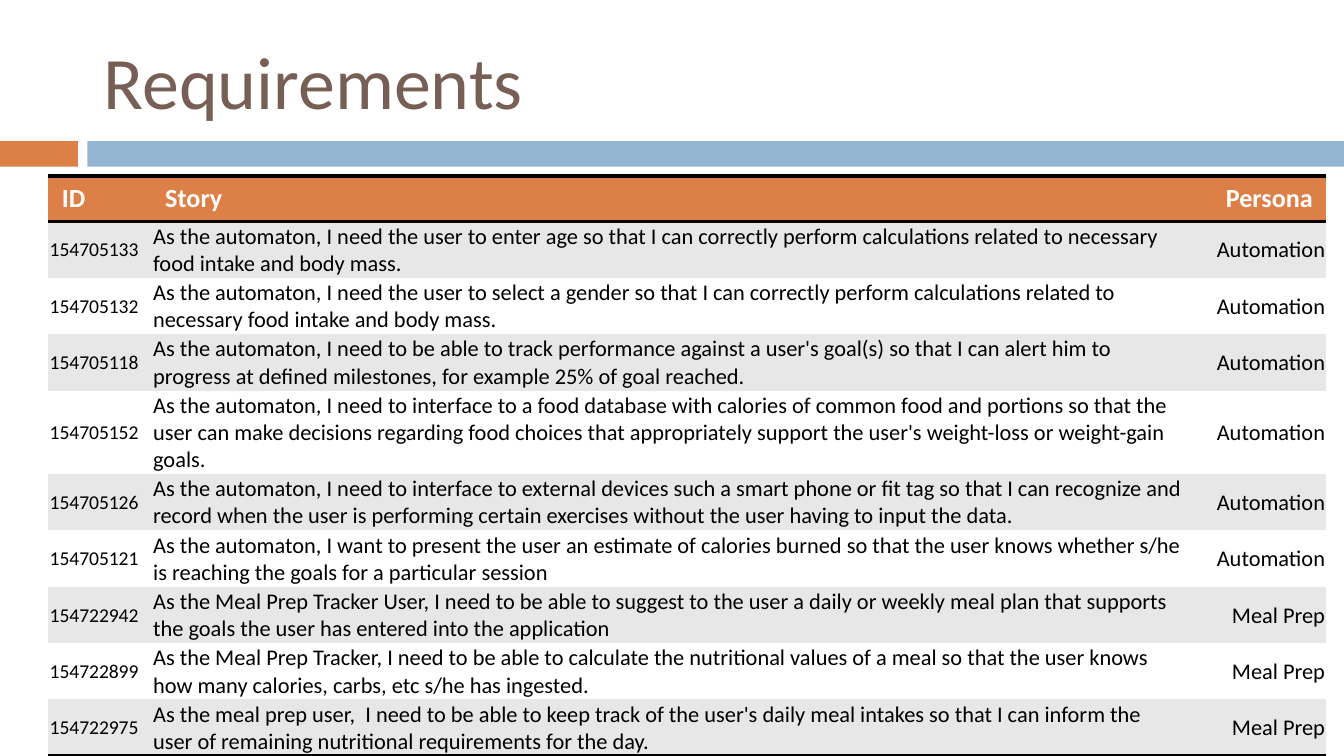
from lxml.etree import SubElement
from pptx import Presentation
from pptx.dml.color import RGBColor
from pptx.enum.shapes import MSO_SHAPE as Shape
from pptx.enum.text import MSO_ANCHOR as Anchor, PP_ALIGN as Align
from pptx.oxml.ns import qn
from pptx.util import Inches, Pt

FONT = "Calibri"
ORANGE, BLUE, BROWN = "DD8047", "94B6D2", "775F55"
BLACK, WHITE, GREY = "000000", "FFFFFF", "E7E7E7"
NO_GRID = "{2D5ABB26-0587-4C30-8999-92F81FD0307C}"
ALIGNS = (Align.LEFT, Align.LEFT, Align.RIGHT)
HEADINGS = ("ID", "Story ", "Persona")
STORIES = [
    ("154705133", "As the automaton, I need the user to enter age so that I can correctly perform "
     "calculations related to necessary food intake and body mass.", "Automation"),
    ("154705132", "As the automaton, I need the user to select a gender so that I can correctly perform "
     "calculations related to necessary food intake and body mass.", "Automation"),
    ("154705118", "As the automaton, I need to be able to track performance against a user's goal(s) so "
     "that I can alert him to progress at defined milestones, for example 25% of goal reached.", "Automation"),
    ("154705152", "As the automaton, I need to interface to a food database with calories of common food "
     "and portions so that the user can make decisions regarding food choices that appropriately "
     "support the user's weight-loss or weight-gain goals.", "Automation"),
    ("154705126", "As the automaton, I need to interface to external devices such a smart phone or fit tag "
     "so that I can recognize and record when the user is performing certain exercises without the "
     "user having to input the data.", "Automation"),
    ("154705121", "As the automaton, I want to present the user an estimate of calories burned so that the "
     "user knows whether s/he is reaching the goals for a particular session ", "Automation"),
    ("154722942", "As the Meal Prep Tracker User, I need to be able to suggest to the user a daily or weekly "
     "meal plan that supports the goals the user has entered into the application", "Meal Prep"),
    ("154722899", "As the Meal Prep Tracker, I need to be able to calculate the nutritional values of a meal "
     "so that the user knows how many calories, carbs, etc s/he has ingested.", "Meal Prep"),
    ("154722975", "As the meal prep user,  I need to be able to keep track of the user's daily meal intakes "
     "so that I can inform the user of remaining nutritional requirements for the day.", "Meal Prep"),
]


def paint(fill, color):
    fill.solid()
    fill.fore_color.rgb = RGBColor.from_string(color)


def style_text(para, size, color, align=Align.LEFT, bold=False):
    para.alignment = align
    for span in para.runs:
        span.font.name = FONT
        span.font.size = Pt(size)
        span.font.bold = bold
        span.font.color.rgb = RGBColor.from_string(color)


def add_band(page, left, top, width, height):
    split, gap = 0.58, 0.07
    parts = ((left, split, ORANGE), (left + split + gap, width - split - gap, BLUE))
    for start, span_width, color in parts:
        bar = page.shapes.add_shape(Shape.RECTANGLE, Inches(start), Inches(top),
                                    Inches(span_width), Inches(height))
        bar.shadow.inherit = False
        paint(bar.fill, color)
        bar.line.fill.background()


def place_title(page, text, left, top, width, height):
    title = page.shapes.title
    title.left, title.top = Inches(left), Inches(top)
    title.width, title.height = Inches(width), Inches(height)
    frame = title.text_frame
    frame.text = text
    frame.vertical_anchor = Anchor.MIDDLE
    style_text(frame.paragraphs[0], 39.6, BROWN)


def add_borders(cell, sides):
    properties = cell._tc.get_or_add_tcPr()
    for position, side in enumerate(sides):
        line = SubElement(properties, qn(f"a:ln{side}"), w=str(Pt(2)))
        fill = SubElement(line, qn("a:solidFill"))
        SubElement(fill, qn("a:srgbClr"), val=BLACK)
        properties.insert(position, line)


def fill_cell(cell, text, row, column):
    cell.text = text
    para = cell.text_frame.paragraphs[0]
    if row == 0:
        style_text(para, 14, WHITE, ALIGNS[column], True)
        paint(cell.fill, ORANGE)
        add_borders(cell, "TB")
        return
    cell.vertical_anchor = Anchor.MIDDLE
    cell.margin_left = cell.margin_right = cell.margin_top = Inches(0.01)
    cell.margin_bottom = 0
    style_text(para, 10.5 if column == 0 else 12, BLACK, ALIGNS[column])
    paint(cell.fill, GREY if row % 2 else WHITE)
    if row == len(STORIES):
        add_borders(cell, "B")


def add_story_table(page, left, top, width, height):
    rows = [HEADINGS] + STORIES
    frame = page.shapes.add_table(len(rows), len(HEADINGS), Inches(left), Inches(top),
                                  Inches(width), Inches(height))
    table = frame.table
    table._tbl.tblPr.find(qn("a:tableStyleId")).text = NO_GRID
    id_width, persona_width = 0.77, 1.03
    widths = (id_width, width - id_width - persona_width, persona_width)
    for column, column_width in zip(table.columns, widths):
        column.width = Inches(column_width)
    for row, texts in enumerate(rows):
        table.rows[row].height = Inches(0.42 if row else 0.33)
        for column, text in enumerate(texts):
            fill_cell(table.cell(row, column), text, row, column)


deck = Presentation()
deck.slide_width = Inches(10)
deck.slide_height = deck.slide_width * 9 // 16
page = deck.slides.add_slide(deck.slide_layouts[5])
paint(page.background.fill, WHITE)
add_band(page, 0, 1.05, 10, 0.19)
place_title(page, "Requirements", 0.67, 0.19, 8.92, 0.81)
add_story_table(page, 0.36, 1.31, 9.51, 4.26)
deck.save("out.pptx")
